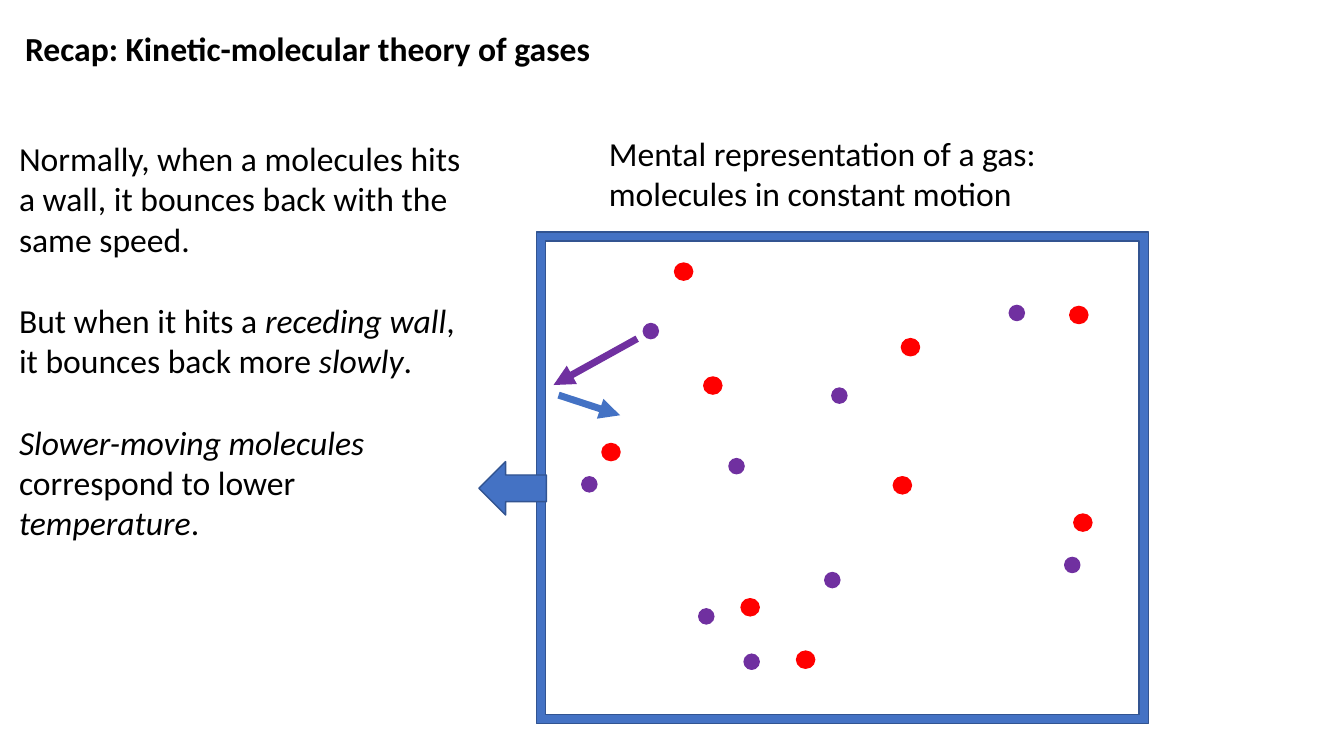
from lxml import etree
from pptx import Presentation
from pptx import util as u
from pptx.dml import color
from pptx.enum import shapes, text
from pptx.oxml import ns

EMU_PER_PX = 9144
SLIDE_SIZE = (1333, 750)
FONT, FONT_SIZE, PARAGRAPH_GAP = "Calibri", 24, 29.3
BLACK, BLUE, DARK_BLUE, PURPLE, RED = "000000", "4472C4", "325491", "7030A0", "FF0000"

TITLE = [[("Recap: Kinetic-molecular theory of gases", False)]]
CAPTION = [[("Mental representation of a gas: molecules in constant motion", False)]]
EXPLANATION = [
    [("Normally, when a molecules hits a wall, it bounces back with the same speed.", False)],
    [("But when it hits a ", False), ("receding wall", True),
     (", it bounces back more ", False), ("slowly", True), (".", False)],
    [("Slower-moving molecules", True), (" correspond to lower ", False),
     ("temperature", True), (".", False)],
]

CONTAINER = (532, 230, 607, 488)
WALL_RATIO = 0.019
RECEDING_ARROW = (475, 458, 67, 53)
MOLECULES = [
    (PURPLE, (15, 15), [(638, 321), (693, 604), (825, 385), (723, 455), (1001, 303),
                        (818, 568), (577, 473), (1056, 553), (738, 649)]),
    (RED, (18, 17), [(669, 261), (735, 594), (894, 336), (698, 374), (1061, 304),
                     (886, 473), (597, 440), (1065, 510), (790, 646)]),
]
INCOMING = ((632, 336), (549, 382))
REBOUND = ((554, 392), (615, 412))


def px(*lengths):
    return [u.Emu(length * EMU_PER_PX) for length in lengths]


def rgb(value):
    return color.RGBColor.from_string(value)


def add_text(slide, box, paragraphs, bold=False):
    frame = slide.shapes.add_textbox(*px(*box)).text_frame
    frame.word_wrap = True
    frame.auto_size = text.MSO_AUTO_SIZE.SHAPE_TO_FIT_TEXT
    for index, pieces in enumerate(paragraphs):
        paragraph = frame.add_paragraph() if index else frame.paragraphs[0]
        if index:
            paragraph.space_before = u.Pt(PARAGRAPH_GAP)
        paragraph.font.name = FONT
        paragraph.font.size = u.Pt(FONT_SIZE)
        paragraph.font.bold = bold
        paragraph.font.color.rgb = rgb(BLACK)
        for words, italic in pieces:
            run = paragraph.add_run()
            run.text = words
            if italic:
                run.font.italic = True


def add_solid(parent, kind, box, fill, line):
    shape = parent.shapes.add_shape(kind, *px(*box))
    shape.shadow.inherit = False
    shape.fill.solid()
    shape.fill.fore_color.rgb = rgb(fill)
    shape.line.color.rgb = rgb(line)
    shape.line.width = u.Pt(1)
    return shape


def add_path_arrow(parent, start, end, line):
    connector = parent.shapes.add_connector(shapes.MSO_CONNECTOR.STRAIGHT, *px(*start, *end))
    connector.line.color.rgb = rgb(line)
    connector.line.width = u.Pt(5)
    etree.SubElement(connector.line._get_or_add_ln(), ns.qn("a:tailEnd"), type="triangle")
    etree.SubElement(connector._element.spPr, ns.qn("a:effectLst"))


def main():
    presentation = Presentation()
    presentation.slide_width, presentation.slide_height = px(*SLIDE_SIZE)
    slide = presentation.slides.add_slide(presentation.slide_layouts[6])

    add_text(slide, (594, 127, 448, 91), CAPTION)

    gas = slide.shapes.add_group_shape()
    container = add_solid(gas, shapes.MSO_SHAPE.FRAME, CONTAINER, BLUE, DARK_BLUE)
    container.adjustments[0] = WALL_RATIO
    for fill, size, corners in MOLECULES:
        for corner in corners:
            add_solid(gas, shapes.MSO_SHAPE.OVAL, corner + size, fill, fill)
    add_path_arrow(gas, *INCOMING, PURPLE)

    add_path_arrow(slide, *REBOUND, BLUE)
    add_solid(slide, shapes.MSO_SHAPE.LEFT_ARROW, RECEDING_ARROW, BLUE, DARK_BLUE)
    add_text(slide, (9, 132, 465, 414), EXPLANATION)
    add_text(slide, (15, 23, 1304, 50), TITLE, bold=True)
    presentation.save("out.pptx")


if __name__ == "__main__":
    main()
